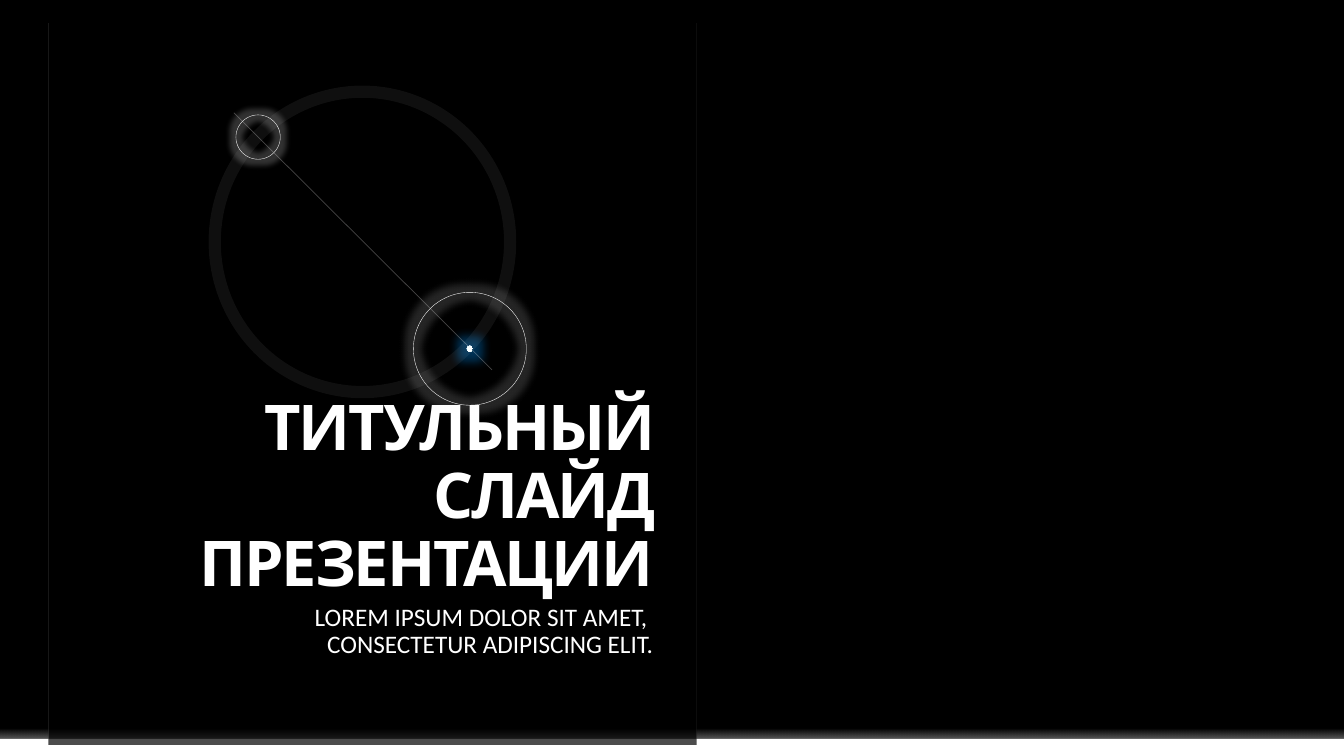
from dataclasses import dataclass
from typing import Optional

import pptx
import pptx.dml.color
import pptx.enum.shapes
import pptx.enum.text
import pptx.oxml
import pptx.oxml.ns
import pptx.util

Inches = pptx.util.Inches
Pt = pptx.util.Pt
ShapeKind = pptx.enum.shapes.MSO_SHAPE
Anchor = pptx.enum.text.MSO_ANCHOR

COLORS = {
    "black": "000000",
    "white": "FFFFFF",
    "edge": "F2F2F2",
    "axis": "E7E6E6",
    "glow_blue": "0080D8",
    "dot_tint": "F7FFFF",
    "dot_rim": "C1E4FF",
}
NAMESPACE = 'xmlns:a="http://schemas.openxmlformats.org/drawingml/2006/main"'
PANEL_LEFT, PANEL_TOP, PANEL_WIDTH = 0.48, 0.23, 6.43
TEXT_LEFT, TEXT_WIDTH = 0.83, 5.65


@dataclass(frozen=True)
class Stop:
    position: int
    color: str
    opacity: int = 100


@dataclass(frozen=True)
class Glow:
    color: str
    radius: float
    opacity: int


@dataclass(frozen=True)
class Figure:
    kind: ShapeKind
    left: float
    top: float
    width: float
    height: float
    fill: Optional[str] = None
    fill_opacity: int = 100
    stops: tuple[Stop, ...] = ()
    direction: str = ""
    line_width: float = 0
    line_opacity: int = 100
    glow: Optional[Glow] = None


@dataclass(frozen=True)
class Segment:
    start: tuple[float, float]
    end: tuple[float, float]
    color: str
    width: float
    opacity: int


FADE_DOWN = '<a:lin ang="5400000" scaled="0"/>'
FROM_CENTER = ('<a:path path="circle"><a:fillToRect l="50000" t="50000" '
               'r="50000" b="50000"/></a:path>')

BACKDROP = [
    Figure(ShapeKind.RECTANGLE, 0, 7.33, 13.33, 0.17, fill="white"),
    Figure(ShapeKind.RECTANGLE, 0, 7.16, 13.33, 0.17, direction=FADE_DOWN,
           stops=(Stop(40, "white", 0), Stop(100, "white", 35))),
    Figure(ShapeKind.RECTANGLE, PANEL_LEFT, 4.26, PANEL_WIDTH, 3.13,
           fill="black", fill_opacity=70),
    Figure(ShapeKind.RECTANGLE, PANEL_LEFT, PANEL_TOP, PANEL_WIDTH, 4.04,
           fill="black", fill_opacity=94),
]
PANEL_EDGES = [
    Segment((x, PANEL_TOP), (x, 7.33), "edge", 0.25, 15)
    for x in (PANEL_LEFT + PANEL_WIDTH, PANEL_LEFT)
]
ORBIT = [
    Figure(ShapeKind.OVAL, 2.34, 1.14, 0.44, 0.44, line_width=0.25,
           glow=Glow("white", 8, 20)),
    Figure(ShapeKind.OVAL, 4.1, 2.9, 1.12, 1.12, line_width=0.25,
           glow=Glow("white", 11, 15)),
    Figure(ShapeKind.OVAL, 4.63, 3.43, 0.06, 0.06, direction=FROM_CENTER,
           stops=(Stop(0, "white"), Stop(65, "dot_tint"), Stop(70, "dot_rim")),
           glow=Glow("glow_blue", 14, 40)),
    Figure(ShapeKind.OVAL, 2.13, 0.91, 2.93, 2.98, line_width=8.75,
           line_opacity=6),
]
ORBIT_AXIS = Segment((2.32, 1.12), (4.88, 3.67), "axis", 0.5, 30)


def rgb(name: str) -> pptx.dml.color.RGBColor:
    return pptx.dml.color.RGBColor.from_string(COLORS[name])


def color_xml(name: str, opacity: int) -> str:
    return (f'<a:srgbClr val="{COLORS[name]}">'
            f'<a:alpha val="{opacity * 1000}"/></a:srgbClr>')


def set_opacity(properties, opacity: int) -> None:
    color = properties.find(".//" + pptx.oxml.ns.qn("a:srgbClr"))
    alpha = pptx.oxml.parse_xml(f'<a:alpha {NAMESPACE} val="{opacity * 1000}"/>')
    color.append(alpha)


def set_gradient(shape, stops: tuple[Stop, ...], direction: str) -> None:
    stop_xml = "".join(
        f'<a:gs pos="{stop.position * 1000}">{color_xml(stop.color, stop.opacity)}</a:gs>'
        for stop in stops)
    gradient = pptx.oxml.parse_xml(
        f'<a:gradFill {NAMESPACE} rotWithShape="1"><a:gsLst>{stop_xml}</a:gsLst>'
        f'{direction}</a:gradFill>')
    shape._element.spPr.find(pptx.oxml.ns.qn("a:prstGeom")).addnext(gradient)


def set_glow(shape, glow: Glow) -> None:
    effects = shape._element.spPr.find(pptx.oxml.ns.qn("a:effectLst"))
    effects.append(pptx.oxml.parse_xml(
        f'<a:glow {NAMESPACE} rad="{int(Pt(glow.radius))}">'
        f'{color_xml(glow.color, glow.opacity)}</a:glow>'))


def draw_figure(page, figure: Figure) -> None:
    shape = page.shapes.add_shape(
        figure.kind, Inches(figure.left), Inches(figure.top),
        Inches(figure.width), Inches(figure.height))
    shape.shadow.inherit = False
    if figure.stops:
        set_gradient(shape, figure.stops, figure.direction)
    elif figure.fill:
        shape.fill.solid()
        shape.fill.fore_color.rgb = rgb(figure.fill)
        set_opacity(shape._element.spPr, figure.fill_opacity)
    else:
        shape.fill.background()
    if figure.line_width:
        shape.line.color.rgb = rgb("white")
        shape.line.width = Pt(figure.line_width)
        set_opacity(shape.line._ln, figure.line_opacity)
    else:
        shape.line.fill.background()
    if figure.glow:
        set_glow(shape, figure.glow)


def draw_segment(page, segment: Segment) -> None:
    connector = page.shapes.add_connector(
        pptx.enum.shapes.MSO_CONNECTOR.STRAIGHT,
        *(Inches(value) for value in segment.start + segment.end))
    connector.line.color.rgb = rgb(segment.color)
    connector.line.width = Pt(segment.width)
    set_opacity(connector.line._ln, segment.opacity)
    connector._element.spPr.append(
        pptx.oxml.parse_xml(f"<a:effectLst {NAMESPACE}/>"))


def add_text(page, text: str, *, top: float, height: float, size: float, font: str,
             bold: bool = False, spacing: float = 0, anchor: Anchor = Anchor.TOP) -> None:
    box = page.shapes.add_textbox(
        Inches(TEXT_LEFT), Inches(top), Inches(TEXT_WIDTH), Inches(height))
    frame = box.text_frame
    frame.word_wrap = True
    frame.vertical_anchor = anchor
    frame.margin_left = frame.margin_right = Inches(0)
    frame.margin_top = frame.margin_bottom = Inches(0)
    para = frame.paragraphs[0]
    para.text = text
    para.alignment = pptx.enum.text.PP_ALIGN.RIGHT
    para.line_spacing = 0.9
    for span in para.runs:
        span.font.name = font
        span.font.size = Pt(size)
        span.font.bold = bold
        span.font.color.rgb = rgb("white")
        span._r.get_or_add_rPr().set("spc", str(int(spacing * 100)))


def main() -> None:
    deck = pptx.Presentation()
    deck.slide_width, deck.slide_height = Inches(13.33), Inches(7.5)
    page = deck.slides.add_slide(deck.slide_layouts[6])
    page.background.fill.solid()
    page.background.fill.fore_color.rgb = rgb("black")
    for figure in BACKDROP:
        draw_figure(page, figure)
    for edge in PANEL_EDGES:
        draw_segment(page, edge)
    add_text(page, "ТИТУЛЬНЫЙ СЛАЙД ПРЕЗЕНТАЦИИ", top=4.27, height=1.68, size=45,
             font="Cabin", bold=True, spacing=-1.5, anchor=Anchor.BOTTOM)
    add_text(page, "LOREM IPSUM DOLOR SIT AMET, \vCONSECTETUR ADIPISCING ELIT.",
             top=6, height=0.76, size=18, font="Calibri")
    for figure in ORBIT:
        draw_figure(page, figure)
    draw_segment(page, ORBIT_AXIS)
    deck.save("out.pptx")


if __name__ == "__main__":
    main()
